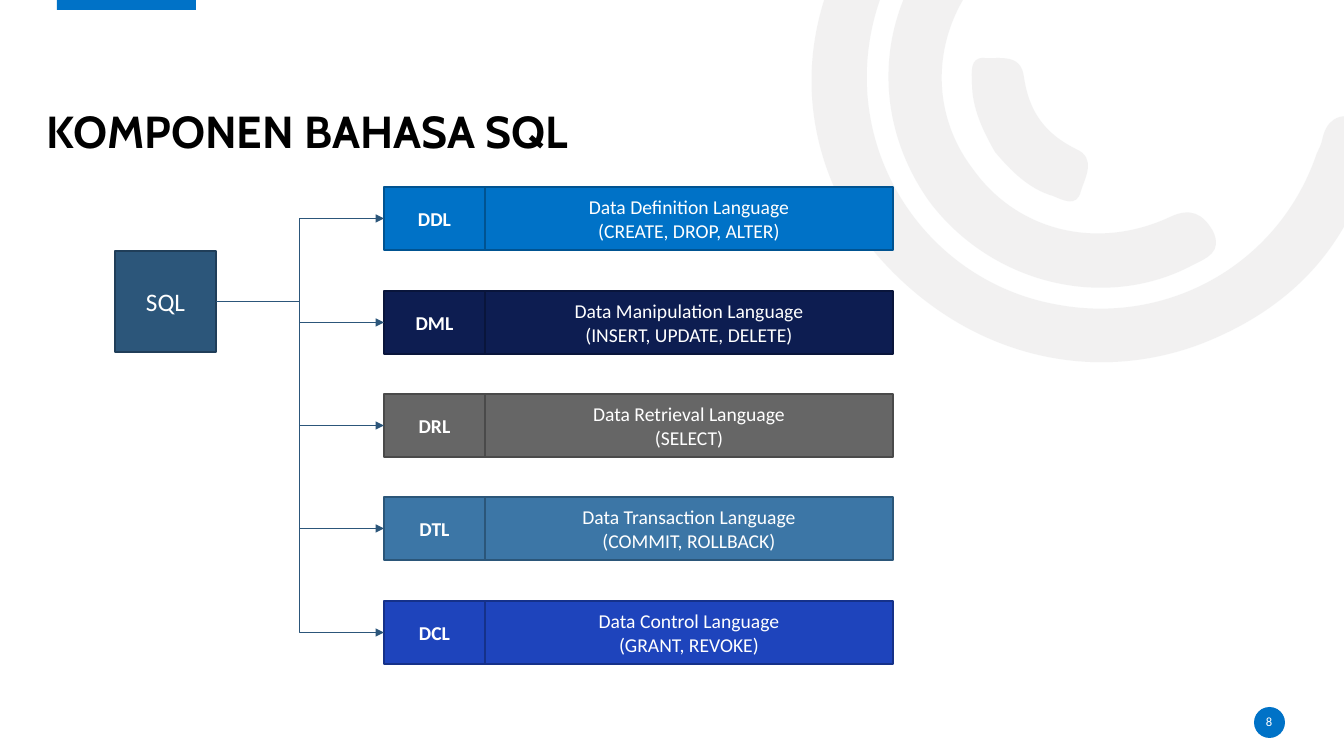
from lxml import etree
from pptx import Presentation
from pptx import util as u
from pptx.dml.color import RGBColor
from pptx.enum import shapes, text
from pptx.oxml.ns import qn

PX = u.Inches(1) / 100.8
BLACK = RGBColor(0x00, 0x00, 0x00)
WHITE = RGBColor(0xFF, 0xFF, 0xFF)
PALE = RGBColor(0xE7, 0xE6, 0xE6)
BLUE = RGBColor(0x00, 0x72, 0xC7)
BLUE_EDGE = RGBColor(0x00, 0x53, 0x91)
NAVY = RGBColor(0x0D, 0x1D, 0x51)
NAVY_EDGE = RGBColor(0x09, 0x15, 0x3B)
GREY = RGBColor(0x66, 0x66, 0x66)
GREY_EDGE = RGBColor(0x4A, 0x4A, 0x4A)
STEEL = RGBColor(0x3C, 0x76, 0xA6)
STEEL_EDGE = RGBColor(0x2B, 0x56, 0x79)
ROYAL = RGBColor(0x1E, 0x44, 0xBC)
ROYAL_EDGE = RGBColor(0x15, 0x31, 0x89)
SLATE = RGBColor(0x2C, 0x56, 0x7A)
SLATE_EDGE = RGBColor(0x20, 0x3E, 0x59)

RECT = shapes.MSO_SHAPE.RECTANGLE
OVAL = shapes.MSO_SHAPE.OVAL
CENTER = text.PP_ALIGN.CENTER
MIDDLE = text.MSO_ANCHOR.MIDDLE


def add_box(parent, kind, box, fill, edge=None):
    """Add a flat preset shape; box is left, top, width, height in px."""
    shape = parent.add_shape(kind, *[round(v * PX) for v in box])
    shape.shadow.inherit = False
    shape.fill.solid()
    shape.fill.fore_color.rgb = fill
    if edge is None:
        shape.line.fill.background()
    else:
        shape.line.color.rgb = edge
        shape.line.width = u.Pt(1)
    return shape


def write(shape, lines, size, color=WHITE, bold=False, face="Calibri",
          align=CENTER, anchor=MIDDLE):
    frame = shape.text_frame
    frame.word_wrap = True
    frame.vertical_anchor = anchor
    frame.text = lines
    for para in frame.paragraphs:
        para.alignment = align
        para.font.name = face
        para.font.size = u.Pt(size)
        para.font.bold = bold
        para.font.color.rgb = color
    return frame


deck = Presentation()
deck.slide_width = round(1344 * PX)
deck.slide_height = round(756 * PX)
slide = deck.slides.add_slide(deck.slide_layouts[6])
tree = slide.shapes

# Background swirl: a start point, then cubic curves (two handles and an end)
arcs = [
    [(858, 231),
     (805, 150), (793, 50), (845, -50), (897, -153), (984, -205), (1099, -209),
     (1114, -209), (1130, -212), (1140, -197), (1153, -176), (1136, -155), (1107, -155),
     (975, -155), (872, -59), (867, 69), (863, 183), (943, 283), (1054, 304),
     (1169, 327), (1280, 263), (1317, 153), (1319, 149), (1321, 145), (1322, 141),
     (1326, 120), (1338, 112), (1360, 118), (1384, 125), (1378, 142), (1372, 157),
     (1349, 247), (1291, 309), (1201, 344), (1079, 390), (943, 348), (858, 231)],
    [(929, 201),
     (869, 116), (876, 7), (948, -69), (959, -80), (970, -96), (988, -79),
     (1003, -65), (1005, -50), (987, -32), (932, 26), (927, 109), (973, 169),
     (1017, 231), (1097, 251), (1170, 217), (1191, 207), (1203, 214), (1213, 231),
     (1223, 252), (1207, 258), (1193, 265), (1105, 312), (991, 284), (929, 201)],
    [(995, 152),
     (983, 131), (972, 108), (972, 83), (972, 74), (969, 57), (984, 58),
     (1000, 59), (1021, 53), (1024, 77), (1029, 111), (1044, 133), (1076, 149),
     (1097, 158), (1085, 178), (1081, 191), (1077, 208), (1063, 200), (1053, 196),
     (1029, 189), (1011, 171), (995, 152)],
]
swirl = tree.add_group_shape().shapes
for start, *points in arcs:
    pen = swirl.build_freeform(*start, scale=PX)
    pen.add_line_segments(points, close=True)
    arc = pen.convert_to_shape()
    arc.shadow.inherit = False
    arc.fill.solid()
    arc.fill.fore_color.rgb = PALE
    arc.line.fill.background()
    tint = next(arc._element.spPr.iter(qn("a:srgbClr")))
    etree.SubElement(tint, qn("a:alpha"), val="53000")
    # Turn each three straight steps into one cubic curve
    steps = list(arc._element.spPr.iter(qn("a:lnTo")))
    for i in range(0, len(steps), 3):
        curve = etree.Element(qn("a:cubicBezTo"))
        steps[i].addprevious(curve)
        for step in steps[i:i + 3]:
            curve.append(step[0])
            step.getparent().remove(step)

# Top bar, page number and title
add_box(tree, RECT, (57, -2, 139, 12), BLUE)
add_box(tree, OVAL, (1254, 707, 31, 31), BLUE)
page = tree.add_textbox(*[round(v * PX) for v in (1253, 712, 32, 20)])
title = tree.add_textbox(*[round(v * PX) for v in (47, 45, 790, 113)])
for frame in (
        write(page, "8", 9),
        write(title, "KOMPONEN BAHASA SQL", 32, BLACK, True, "Cabin",
              text.PP_ALIGN.LEFT, text.MSO_ANCHOR.BOTTOM)):
    frame.margin_left = frame.margin_right = 0
    frame.margin_top = frame.margin_bottom = 0
title.text_frame.paragraphs[0].line_spacing = 0.9

# SQL and its five parts
root = add_box(tree, RECT, (115, 251, 101, 101), SLATE, SLATE_EDGE)
write(root, "SQL", 18)

parts = [
    ("DDL", "Data Definition Language\n(CREATE, DROP, ALTER)", BLUE, BLUE_EDGE),
    ("DML", "Data Manipulation Language\n(INSERT, UPDATE, DELETE)", NAVY, NAVY_EDGE),
    ("DRL", "Data Retrieval Language\n(SELECT)", GREY, GREY_EDGE),
    ("DTL", "Data Transaction Language\n(COMMIT, ROLLBACK)", STEEL, STEEL_EDGE),
    ("DCL", "Data Control Language\n(GRANT, REVOKE)", ROYAL, ROYAL_EDGE),
]
TOP, LAST, HIGH = 187, 601, 63
for row, (short, full, fill, edge) in enumerate(parts):
    top = TOP + round(row * (LAST - TOP) / (len(parts) - 1))
    group = tree.add_group_shape().shapes
    label = add_box(group, RECT, (384, top, 101, HIGH), fill, edge)
    write(label, short, 14, bold=True)
    detail = add_box(group, RECT, (485, top, 408, HIGH), fill, edge)
    write(detail, full, 14)

    link = tree.add_connector(shapes.MSO_CONNECTOR.ELBOW, 0, 0, 0, 0)
    link.begin_connect(root, 3)
    link.end_connect(label, 1)
    link.line.color.rgb = SLATE
    link.line.width = u.Pt(0.75)
    props = link._element.spPr
    etree.SubElement(props.find(qn("a:ln")), qn("a:tailEnd"), type="triangle")
    etree.SubElement(props, qn("a:effectLst"))

deck.save("out.pptx")
